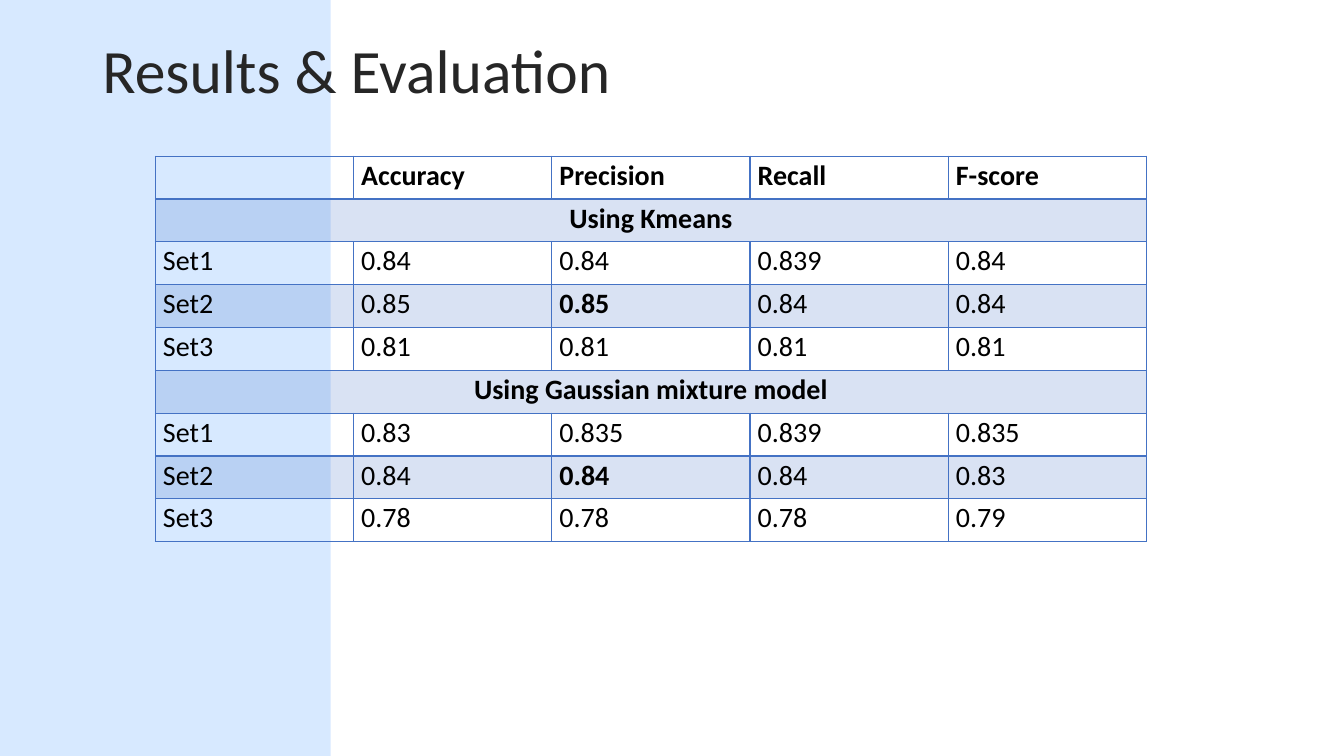
"""Build the Results & Evaluation slide with its table of clustering scores."""
import lxml.etree
import pptx
import pptx.dml.color
import pptx.enum.shapes
import pptx.enum.text
import pptx.oxml.ns
import pptx.util

Pt = pptx.util.Pt
qn = pptx.oxml.ns.qn
COLORS = {"band": "54A0FF", "title": "262626", "text": "000000", "accent": "4472C4"}
FONT = "Calibri"
ROWS = [
    ["", "Accuracy", "Precision", "Recall", "F-score"],
    ["Using Kmeans"],
    ["Set1", "0.84", "0.84", "0.839", "0.84"],
    ["Set2", "0.85", "0.85", "0.84", "0.84"],
    ["Set3", "0.81", "0.81", "0.81", "0.81"],
    ["Using Gaussian mixture model"],
    ["Set1", "0.83", "0.835", "0.839", "0.835"],
    ["Set2", "0.84", "0.84", "0.84", "0.83"],
    ["Set3", "0.78", "0.78", "0.78", "0.79"],
]
COLUMN_COUNT = len(ROWS[0])
COLUMN_WIDTH, ROW_HEIGHT = 141.6, 30.6
BEST_PRECISION = {(3, 2), (7, 2)}
CELL_FORMAT = {
    "margin_left": Pt(5.4),
    "margin_right": Pt(5.4),
    "margin_top": 0,
    "margin_bottom": 0,
}


def fill_tinted(fill, color, opacity):
    fill.solid()
    fill.fore_color.rgb = pptx.dml.color.RGBColor.from_string(COLORS[color])
    element = fill._xPr.find(f"{qn('a:solidFill')}/{qn('a:srgbClr')}")
    lxml.etree.SubElement(element, qn("a:alpha"), val=str(opacity * 1000))


def write_text(paragraph, text, size, color, bold, spacing, alignment):
    run = paragraph.add_run()
    run.text = text
    for name, value in {"name": FONT, "size": Pt(size), "bold": bold}.items():
        setattr(run.font, name, value)
    run.font.color.rgb = pptx.dml.color.RGBColor.from_string(COLORS[color])
    paragraph.line_spacing = spacing
    paragraph.alignment = alignment


presentation = pptx.Presentation()
presentation.slide_width = Pt(960)
presentation.slide_height = Pt(540)
slide = presentation.slides.add_slide(presentation.slide_layouts[5])
align = pptx.enum.text.PP_ALIGN

side_band = slide.shapes.add_shape(
    pptx.enum.shapes.MSO_SHAPE.RECTANGLE, 0, 0, Pt(236.2), Pt(540)
)
side_band.shadow.inherit = False
side_band.line.fill.background()
fill_tinted(side_band.fill, "band", 23)

title = slide.shapes.title
title_format = {"left": Pt(66), "top": Pt(0), "width": Pt(828), "height": Pt(104.4)}
for name, value in title_format.items():
    setattr(title, name, value)
title.text_frame.vertical_anchor = pptx.enum.text.MSO_ANCHOR.MIDDLE
write_text(
    title.text_frame.paragraphs[0], "Results & Evaluation", 44, "title", False, 0.9, align.LEFT
)
title._element.addprevious(side_band._element)

table = slide.shapes.add_table(
    len(ROWS), COLUMN_COUNT, Pt(111), Pt(111.6),
    Pt(COLUMN_COUNT * COLUMN_WIDTH), Pt(len(ROWS) * ROW_HEIGHT),
).table
table.first_row = False
table.horz_banding = False
for column in table.columns:
    column.width = Pt(COLUMN_WIDTH)

for row_index, values in enumerate(ROWS):
    table.rows[row_index].height = Pt(ROW_HEIGHT)
    is_section = len(values) == 1
    is_header = row_index == 0
    if is_section:
        table.cell(row_index, 0).merge(table.cell(row_index, COLUMN_COUNT - 1))
    for column_index in range(COLUMN_COUNT):
        cell = table.cell(row_index, column_index)
        for name, value in CELL_FORMAT.items():
            setattr(cell, name, value)
        properties = cell._tc.get_or_add_tcPr()
        for side in "LRTB":
            width = 2 if is_header and side == "B" else 1
            border = lxml.etree.SubElement(properties, qn(f"a:ln{side}"), w=str(Pt(width)))
            border_fill = lxml.etree.SubElement(border, qn("a:solidFill"))
            lxml.etree.SubElement(border_fill, qn("a:srgbClr"), val=COLORS["accent"])
        if row_index % 2:
            fill_tinted(cell.fill, "accent", 20)
        else:
            cell.fill.background()
        if column_index < len(values) and values[column_index]:
            bold = is_header or is_section or (row_index, column_index) in BEST_PRECISION
            write_text(
                cell.text_frame.paragraphs[0], values[column_index], 20, "text", bold, 1.07,
                align.CENTER if is_section else align.LEFT,
            )

presentation.save("out.pptx")
